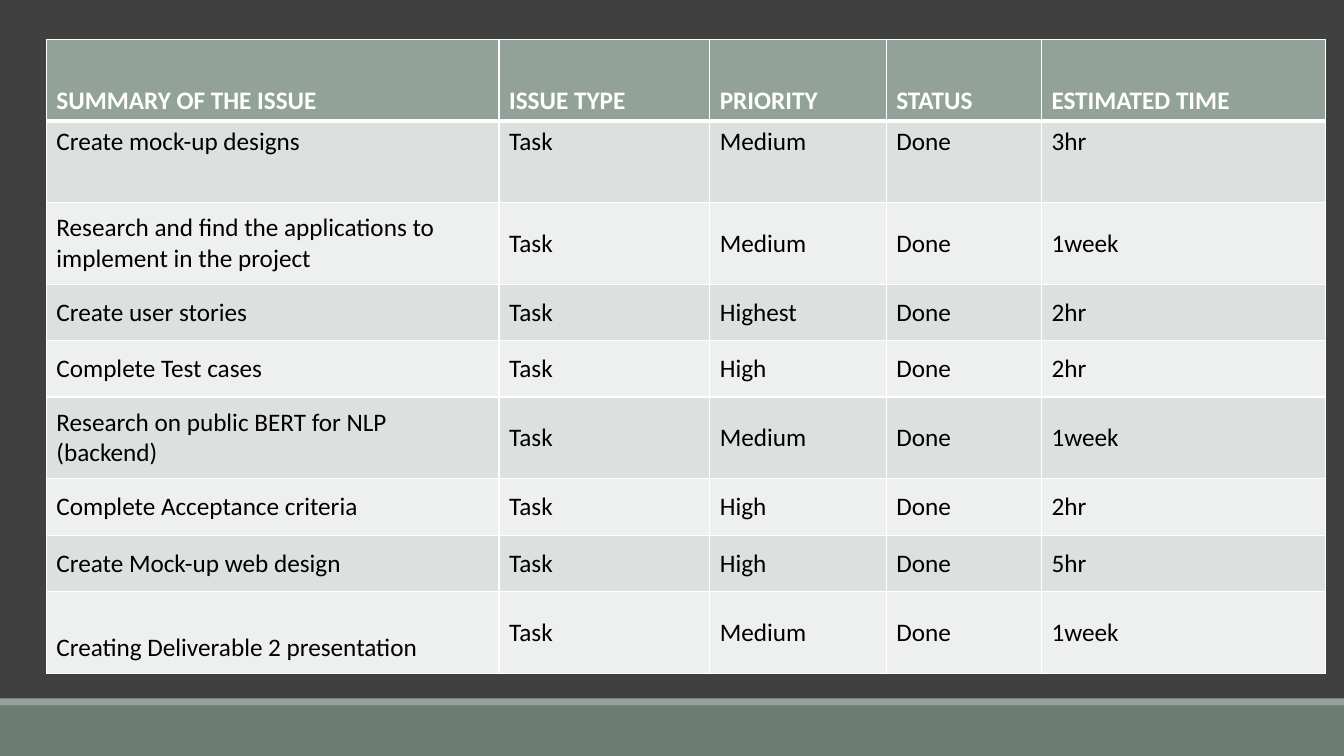
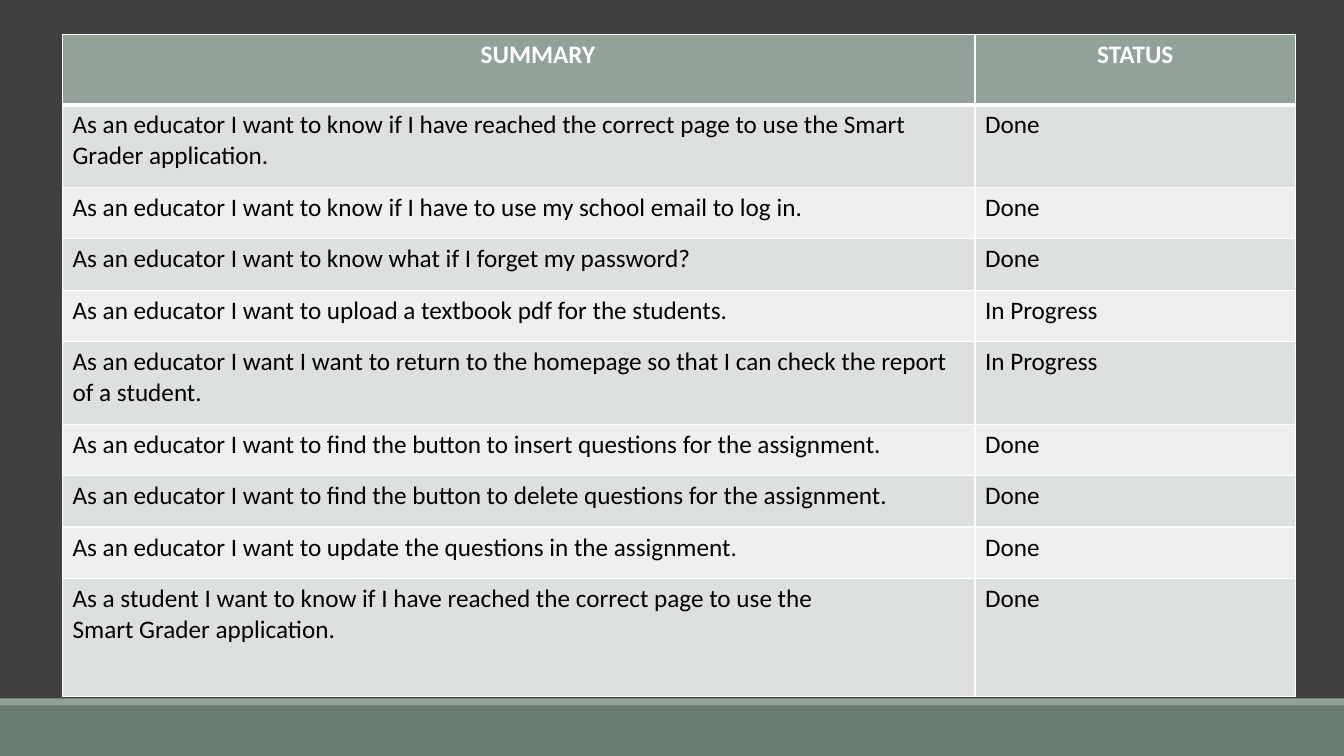
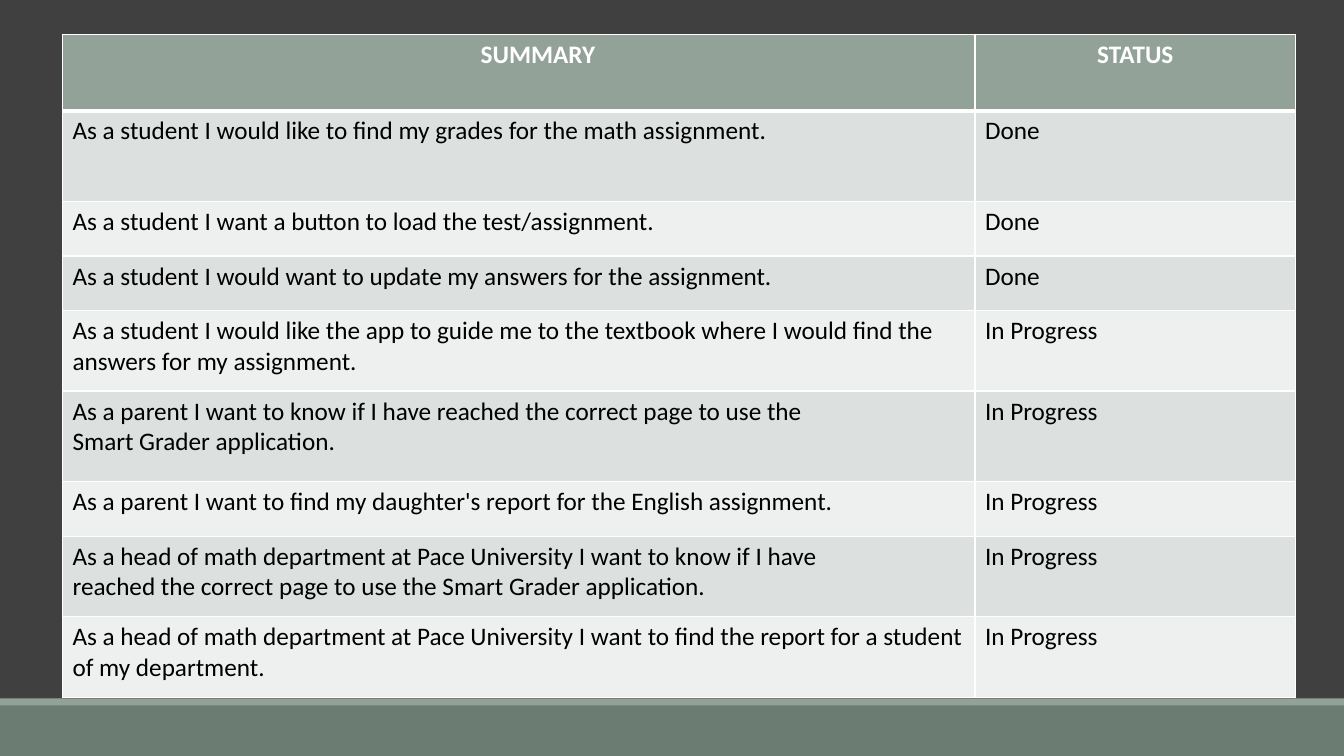
from dataclasses import dataclass

import lxml.etree
import pptx
import pptx.dml.color
import pptx.enum.shapes
import pptx.enum.text
import pptx.oxml.ns
import pptx.presentation
import pptx.slide
import pptx.table
import pptx.util

Inches = pptx.util.Inches
Anchor = pptx.enum.text.MSO_ANCHOR
Align = pptx.enum.text.PP_ALIGN
NO_BREAK_SPACE = chr(160)


@dataclass(frozen=True)
class Theme:
    background: str = "404040"
    footer: str = "6B7D72"
    accent: str = "93A299"
    band_dark: str = "DCE0DE"
    band_light: str = "EEF0EF"
    header_text: str = "FFFFFF"
    body_text: str = "000000"
    border: str = "FFFFFF"
    font: str = "Calibri"
    text_size: int = 18
    thin_border: int = 1
    header_border: int = 3


@dataclass(frozen=True)
class Band:
    top: float
    height: float
    color: str


@dataclass(frozen=True)
class TableSpec:
    """A table; "~" in a text stands for a no-break space."""
    left: float
    top: float
    columns: list[float]
    row_heights: list[float]
    rows: list[tuple[str, ...]]
    header_anchor: Anchor = Anchor.TOP
    header_align: Align = Align.LEFT
    body_anchor: Anchor = Anchor.TOP
    # Extra cell margins, keyed by (row, column).
    left_margins: dict[tuple[int, int], float] | None = None
    top_margins: dict[tuple[int, int], float] | None = None
    anchors: dict[int, Anchor] | None = None


THEME = Theme()
SLIDE_WIDTH, SLIDE_HEIGHT = 13.33, 7.5
BANDS = [Band(7, 0.5, THEME.footer), Band(6.93, 0.07, THEME.accent)]

ISSUES = TableSpec(
    left=0.46, top=0.39,
    columns=[4.49, 2.09, 1.75, 1.54, 2.82],
    row_heights=[0.81, 0.81, 0.81, 0.56, 0.56, 0.81, 0.56, 0.56, 0.81],
    rows=[
        ("SUMMARY OF THE ISSUE", "ISSUE TYPE", "PRIORITY", "STATUS", "ESTIMATED TIME"),
        ("Create mock-up designs", "Task", "Medium", "Done", "3hr"),
        ("Research and find the applications to implement in the~project",
         "Task", "Medium", "Done", "1week"),
        ("Create user stories", "Task", "Highest", "Done", "2hr"),
        ("Complete Test cases", "Task", "High", "Done", "2hr"),
        ("Research on public BERT for NLP (backend)", "Task", "Medium", "Done", "1week"),
        ("Complete Acceptance criteria", "Task", "High", "Done", "2hr"),
        ("Create Mock-up web design", "Task", "High", "Done", "5hr"),
        ("Creating Deliverable 2 presentation", "Task", "Medium", "Done", "1week"),
    ],
    header_anchor=Anchor.BOTTOM,
    body_anchor=Anchor.MIDDLE,
    top_margins={(8, 0): 0.35},
    anchors={1: Anchor.TOP},
)


def story_table(row_heights: list[float], stories: list[tuple[str, str]]) -> TableSpec:
    return TableSpec(
        left=0.62, top=0.34, columns=[9.05, 3.18], row_heights=row_heights,
        rows=[("SUMMARY", "STATUS"), *stories],
        header_align=Align.CENTER, left_margins={(0, 0): 0.48},
    )


EDUCATOR_STORIES = story_table(
    [0.7, 0.82, 0.51, 0.51, 0.51, 0.82, 0.51, 0.51, 0.51, 1.17],
    [
        ("As an educator I want to know if I~have reached the correct page to~use "
         "the Smart Grader application.", "Done"),
        ("As an educator I want to know if I have to use my school email to log in.", "Done"),
        ("As an educator I want to know what if I forget my password?", "Done"),
        ("As an educator I want to upload a textbook pdf~for the students.", "In Progress"),
        ("As an educator I want I want to return to the homepage so that I can check "
         "the report of a student.", "In Progress"),
        ("As an educator I want to find the button to insert questions for the assignment.",
         "Done"),
        ("As an educator I want to find the button to delete questions for the assignment.",
         "Done"),
        ("As an educator I want to update the questions in the assignment.", "Done"),
        ("As a student I want to know if I~have reached~the~correct page to~use "
         "the Smart~Grader~application.", "Done"),
    ],
)

STUDENT_STORIES = story_table(
    [0.76, 0.9, 0.54, 0.54, 0.8, 0.9, 0.54, 0.8, 0.8],
    [
        ("As a student~I would~like to find my grades for~the math assignment.", "Done"),
        ("As a student I want a button to load the test/assignment.", "Done"),
        ("As a student I would want to update my answers for the assignment.", "Done"),
        ("As a student I would like the app to guide me to the textbook where I would "
         "find the answers for my assignment.", "In Progress"),
        ("As a parent~I want to know if I~have reached~the~correct page to~use "
         "the Smart~Grader~application.", "In Progress"),
        ("As a parent~I want to find my daughter's report~for the English assignment.",
         "In Progress"),
        ("As a head of math department at Pace University~I want to know if I~have "
         "reached~the~correct page to~use the Smart~Grader~application.", "In Progress"),
        ("As a head of math department at Pace University~I want to find the~report~for "
         "a~student of my department.", "In Progress"),
    ],
)


def rgb(color: str) -> pptx.dml.color.RGBColor:
    return pptx.dml.color.RGBColor.from_string(color)


def dress_master(deck: pptx.presentation.Presentation, page: pptx.slide.Slide) -> None:
    """Set the shared background and move the footer bands to the master."""
    master = deck.slide_master
    fill = master.background.fill
    fill.solid()
    fill.fore_color.rgb = rgb(THEME.background)
    next_id = max(shape.shape_id for shape in master.shapes) + 1
    for number, band in enumerate(BANDS, start=next_id):
        shape = page.shapes.add_shape(
            pptx.enum.shapes.MSO_SHAPE.RECTANGLE,
            0, Inches(band.top), Inches(SLIDE_WIDTH), Inches(band.height))
        shape.shadow.inherit = False
        shape.fill.solid()
        shape.fill.fore_color.rgb = rgb(band.color)
        shape.line.fill.background()
        shape.element.nvSpPr.cNvPr.set("id", str(number))
        master.shapes.element.append(shape.element)


def set_borders(cell: pptx.table._Cell, top: int, bottom: int) -> None:
    """Draw the cell borders; must run before the fill, which follows them in XML."""
    qn = pptx.oxml.ns.qn
    properties = cell._tc.get_or_add_tcPr()
    widths = {"a:lnL": THEME.thin_border, "a:lnR": THEME.thin_border,
              "a:lnT": top, "a:lnB": bottom}
    for tag, width in widths.items():
        line = lxml.etree.SubElement(properties, qn(tag), w=str(pptx.util.Pt(width)))
        solid = lxml.etree.SubElement(line, qn("a:solidFill"))
        lxml.etree.SubElement(solid, qn("a:srgbClr"), val=THEME.border)


def format_cell(cell: pptx.table._Cell, text: str, row: int, spec: TableSpec) -> None:
    header = row == 0
    thick, thin = THEME.header_border, THEME.thin_border
    set_borders(cell, top=thick if row == 1 else thin, bottom=thick if header else thin)
    cell.fill.solid()
    band = THEME.band_dark if row % 2 else THEME.band_light
    cell.fill.fore_color.rgb = rgb(THEME.accent if header else band)
    body_anchor = (spec.anchors or {}).get(row, spec.body_anchor)
    cell.vertical_anchor = spec.header_anchor if header else body_anchor
    cell.text = text.replace("~", NO_BREAK_SPACE)
    para = cell.text_frame.paragraphs[0]
    para.alignment = spec.header_align if header else Align.LEFT
    para.font.name = THEME.font
    para.font.size = pptx.util.Pt(THEME.text_size)
    para.font.bold = header
    para.font.color.rgb = rgb(THEME.header_text if header else THEME.body_text)


def add_table(page: pptx.slide.Slide, spec: TableSpec) -> None:
    frame = page.shapes.add_table(
        len(spec.rows), len(spec.columns), Inches(spec.left), Inches(spec.top),
        Inches(sum(spec.columns)), Inches(sum(spec.row_heights)))
    table = frame.table
    table.horz_banding = False
    for column, width in zip(table.columns, spec.columns):
        column.width = Inches(width)
    for row, height in zip(table.rows, spec.row_heights):
        row.height = Inches(height)
    for row, texts in enumerate(spec.rows):
        for column, text in enumerate(texts):
            format_cell(table.cell(row, column), text, row, spec)
    for place, margin in (spec.left_margins or {}).items():
        table.cell(*place).margin_left = Inches(margin)
    for place, margin in (spec.top_margins or {}).items():
        table.cell(*place).margin_top = Inches(margin)


def main() -> None:
    deck = pptx.Presentation()
    deck.slide_width, deck.slide_height = Inches(SLIDE_WIDTH), Inches(SLIDE_HEIGHT)
    blank = deck.slide_layouts.get_by_name("Blank")
    pages = [deck.slides.add_slide(blank) for _ in range(3)]
    dress_master(deck, pages[0])
    for page, spec in zip(pages, [ISSUES, EDUCATOR_STORIES, STUDENT_STORIES]):
        add_table(page, spec)
    deck.save("out.pptx")


if __name__ == "__main__":
    main()
